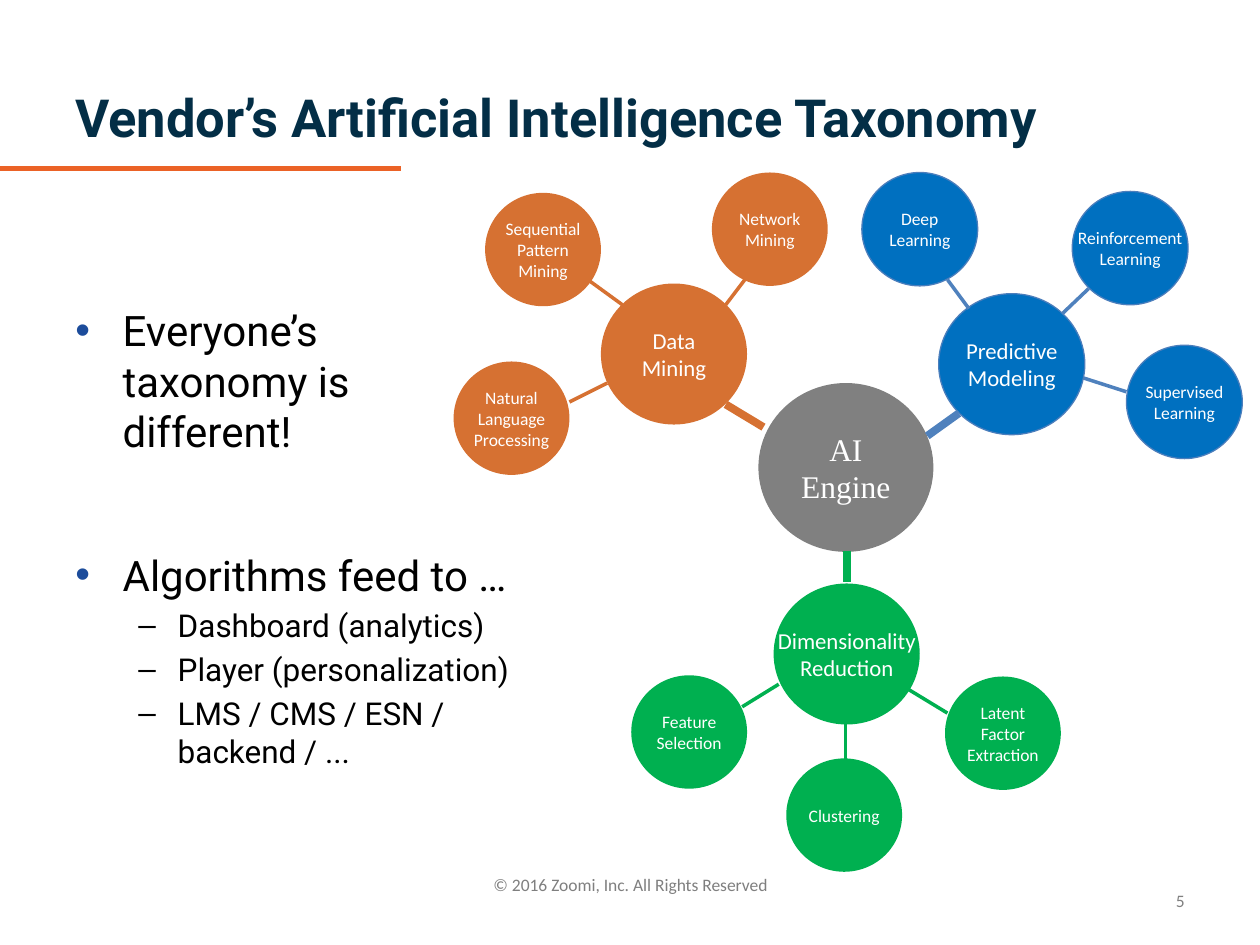
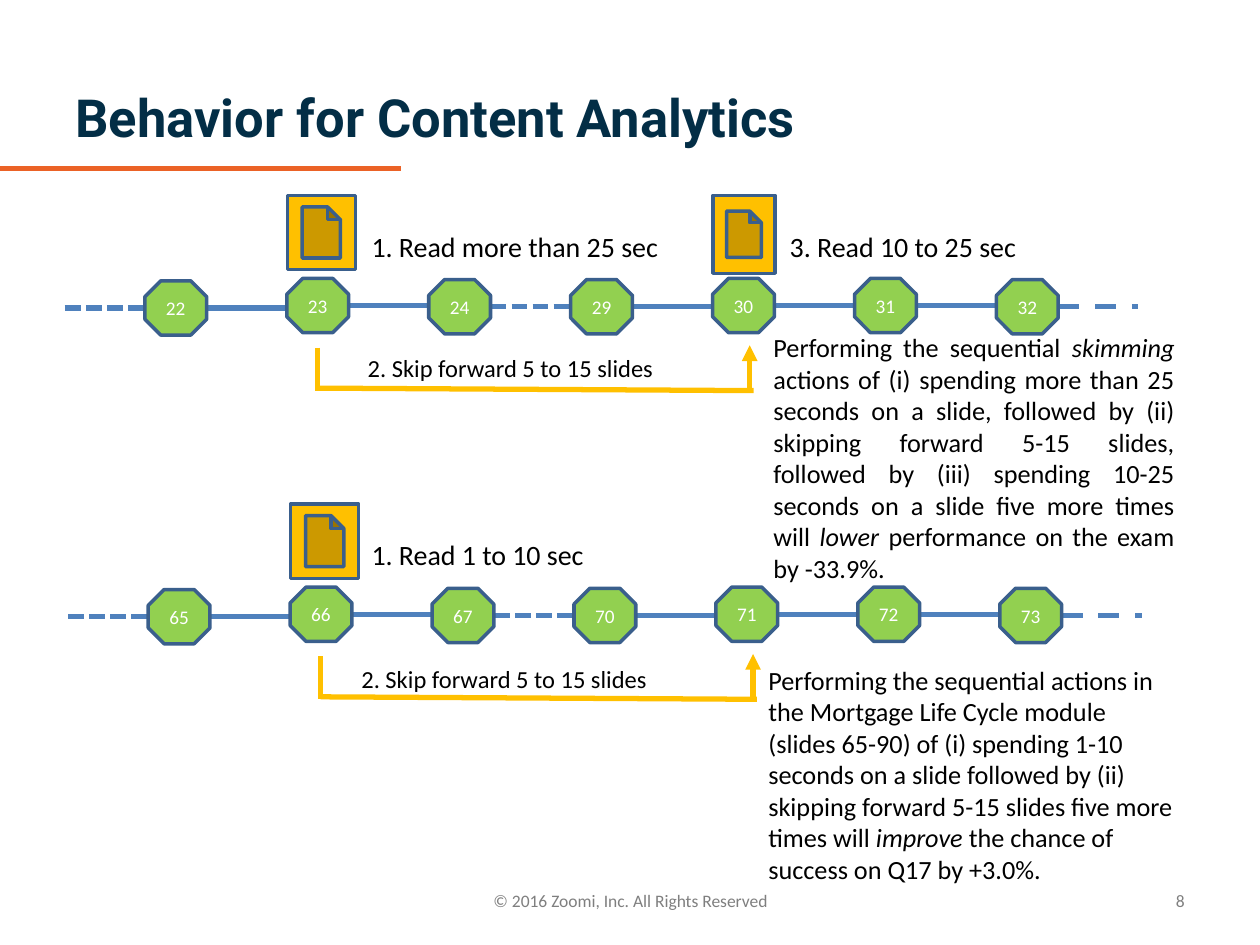
from pptx import Presentation
from pptx.dml.color import RGBColor
from pptx.enum.dml import MSO_LINE
from pptx.enum.shapes import MSO_CONNECTOR, MSO_SHAPE
from pptx.enum.text import MSO_ANCHOR, PP_ALIGN
from pptx.oxml.ns import qn
from pptx.util import Pt
from lxml import etree

STRAIGHT = MSO_CONNECTOR.STRAIGHT
ELLIPSE, OCTAGON = MSO_SHAPE.OVAL, MSO_SHAPE.OCTAGON
DOCUMENT = MSO_SHAPE.ACTION_BUTTON_DOCUMENT
DASH, SHORT_DASH = MSO_LINE.DASH, MSO_LINE.SQUARE_DOT
TOP, MIDDLE = MSO_ANCHOR.TOP, MSO_ANCHOR.MIDDLE
LEFT, CENTER, RIGHT, JUSTIFY = (PP_ALIGN.LEFT, PP_ALIGN.CENTER,
                                PP_ALIGN.RIGHT, PP_ALIGN.JUSTIFY)

COLORS = {
    "accent": "EB6226", "title": "032E46", "bullet": "1C4C9B",
    "footer": "7F7F7F", "number": "808080", "black": "000000", "white": "FFFFFF",
    "engine": "808080", "mining": "D67132", "modeling": "0070C0",
    "modeling_edge": "4B7EBC", "reduction": "00B050", "link": "4F81BD",
    "step": "92D050", "outline": "3A5F8C", "skip": "FFC000",
}
HEADING_FONT, BODY_FONT, ENGINE_FONT = "Roboto", "Calibri", "Times New Roman"


def rgb(name):
    return RGBColor.from_string(COLORS[name])


class Deck:
    """Shared style and the slide being built."""

    def __init__(self):
        self.prs = Presentation()
        self.prs.slide_width, self.prs.slide_height = Pt(720), Pt(540)
        self.slide = None

    def new_slide(self, title, number, footer_top):
        self.slide = self.prs.slides.add_slide(self.prs.slide_layouts[6])
        self.line((0, 96.5), (229, 96.5), "accent", 3)
        self.text((36, 21.6, 648, 90), title, 30, "title", HEADING_FONT,
                  anchor=MIDDLE, bold=True)
        self.text((246.2, footer_top, 228.2, 28.8),
                  "© 2016 Zoomi, Inc. All Rights Reserved", 10, "footer",
                  align=CENTER, anchor=MIDDLE)
        self.text((442, 500.4, 242, 28.8), number, 10, "number",
                  align=RIGHT, anchor=MIDDLE)

    def style(self, paragraph, size, color, font, bold=None):
        paragraph.font.size = Pt(size)
        paragraph.font.name = font
        paragraph.font.bold = bold
        paragraph.font.color.rgb = rgb(color)

    def frame(self, box, anchor=TOP):
        frame = self.slide.shapes.add_textbox(*map(Pt, box)).text_frame
        frame.word_wrap = True
        frame.vertical_anchor = anchor
        return frame

    def text(self, box, words, size, color="black", font=BODY_FONT,
             align=LEFT, anchor=TOP, bold=None):
        """One paragraph; words between asterisks are italic."""
        paragraph = self.frame(box, anchor).paragraphs[0]
        paragraph.alignment = align
        for i, part in enumerate(words.split("*")):
            run = paragraph.add_run()
            run.text = part
            if i % 2:
                run.font.italic = True
        self.style(paragraph, size, color, font, bold)

    def bullets(self, box, items):
        """Items are (level, words)."""
        frame = self.frame(box)
        for i, (level, words) in enumerate(items):
            paragraph = frame.paragraphs[0] if i == 0 else frame.add_paragraph()
            paragraph.text = words
            paragraph.level = level
            size, margin, hang, mark, color = (
                (18, 58.5, 22.5, "–", "black") if level
                else (24, 27, 27, "•", "bullet"))
            props = paragraph._p.get_or_add_pPr()
            props.set("marL", str(Pt(margin)))
            props.set("indent", str(-Pt(hang)))
            tint = etree.SubElement(props, qn("a:buClr"))
            etree.SubElement(tint, qn("a:srgbClr"), val=COLORS[color])
            etree.SubElement(props, qn("a:buFont"), typeface="Arial")
            etree.SubElement(props, qn("a:buChar"), char=mark)
            if i:
                paragraph.space_before = Pt(size * 0.2)
            self.style(paragraph, size, "black", HEADING_FONT)

    def shape(self, kind, box, fill, outline=None, weight=0.75, label="",
              size=10, font=BODY_FONT):
        shape = self.slide.shapes.add_shape(kind, *map(Pt, box))
        shape.shadow.inherit = False
        shape.fill.solid()
        shape.fill.fore_color.rgb = rgb(fill)
        if outline:
            shape.line.color.rgb = rgb(outline)
            shape.line.width = Pt(weight)
        else:
            shape.line.fill.background()
        if not label:
            return
        frame = shape.text_frame
        frame.margin_left = frame.margin_right = 0
        frame.margin_top = frame.margin_bottom = 0
        frame.word_wrap = False
        frame.vertical_anchor = MIDDLE
        frame.text = label
        for paragraph in frame.paragraphs:
            paragraph.alignment = CENTER
            self.style(paragraph, size, "white", font)

    def line(self, start, end, color, weight, dash=None, arrow=False):
        line = self.slide.shapes.add_connector(STRAIGHT, *map(Pt, (*start, *end)))
        line.line.color.rgb = rgb(color)
        line.line.width = Pt(weight)
        if dash:
            line.line.dash_style = dash
        props = line._element.spPr
        if arrow:
            etree.SubElement(props.find(qn("a:ln")), qn("a:tailEnd"), type="triangle")
        etree.SubElement(props, qn("a:effectLst"))


# Taxonomy: each branch has a hub and leaves as (label, corner, edge start, edge end)
HUB, LEAF = (83.5, 80.6), (66.2, 64.8)
BRANCHES = [
    {"hub": ("Predictive\nModeling", (536.4, 167.8), (547.9, 236.2), (529.9, 249.1)),
     "fill": "modeling", "outline": "modeling_edge", "edge": "link",
     "leaves": [
         ("Deep\nLearning", (492.5, 98.6), (541.4, 159.8), (553.7, 176.4)),
         ("Reinforcement\nLearning", (612.7, 109.4), (607, 179.3), (622.1, 164.9)),
         ("Supervised\nLearning", (643.7, 197.3), (619.2, 216), (643.7, 223.9))]},
    {"hub": ("Dimensionality\nReduction", (442.1, 333.4), (483.8, 314.6), (483.8, 332.6)),
     "fill": "reduction", "outline": None, "edge": "reduction",
     "leaves": [
         ("Clustering", (449.3, 433.4), (483.1, 411.1), (483.1, 434.9)),
         ("Latent\nFactor\nExtraction", (540, 386.6), (541.4, 407.5), (517.7, 393.1)),
         ("Feature\nSelection", (360.7, 385.9), (445, 391), (424.1, 403.9))]},
    {"hub": ("Data\nMining", (343.4, 162), (436.3, 244.1), (414.7, 231.1)),
     "fill": "mining", "outline": None, "edge": "mining",
     "leaves": [
         ("Sequential\nPattern\nMining", (277.2, 110.2), (355.7, 174.2), (337, 160.6)),
         ("Natural\nLanguage\nProcessing", (259.2, 206.6), (347, 218.9), (325.4, 229.7)),
         ("Network\nMining", (406.8, 98.6), (414.7, 174.2), (426.2, 159.1))]},
]

# Behavior chains: geometry of the first one, shared by both
STEP_WIDTH, STEP_HEIGHT, PITCH = 35.3, 31, 81.1
CHAIN_LEFT, CHAIN_TOP = 82.8, 159.1
STEP_DROPS = [1.4, 0, 0.7, 0.7, 0, 0, 0.7]
LINK_DASHES = {-1: SHORT_DASH, 2: SHORT_DASH, 6: DASH}


def build_taxonomy(deck):
    deck.new_slide("Vendor’s Artificial Intelligence Taxonomy", "5", 491)
    deck.bullets((36, 170.6, 223.2, 111.6), [(0, "Everyone’s taxonomy is different!")])
    deck.bullets((36, 310.3, 290.2, 151.2), [
        (0, "Algorithms feed to …"), (1, "Dashboard (analytics)"),
        (1, "Player (personalization)"), (1, "LMS / CMS / ESN / backend / ...")])

    deck.shape(ELLIPSE, (433.4, 218.9, 100, 96.5), "engine",
               label="AI\nEngine", size=18, font=ENGINE_FONT)
    for branch in BRANCHES:
        nodes = [(branch["hub"], HUB, 13, 4.5)]
        nodes += [(leaf, LEAF, 10, 2) for leaf in branch["leaves"]]
        for (label, corner, start, end), extent, size, weight in nodes:
            deck.shape(ELLIPSE, corner + extent, branch["fill"], branch["outline"],
                       label=label, size=size)
            deck.line(start, end, branch["edge"], weight)


def build_chain(deck, dx, dy, steps):
    """Numbered slides with links, the first read icon and the skip arrow."""
    for i in range(-1, len(steps)):
        left = CHAIN_LEFT + dx + i * PITCH
        top = CHAIN_TOP + dy + STEP_DROPS[max(i, 0)]
        middle = top + STEP_HEIGHT / 2
        deck.line((left + STEP_WIDTH, middle), (left + PITCH, middle), "link", 3,
                  LINK_DASHES.get(i))
        if i >= 0:
            deck.shape(OCTAGON, (left, top, STEP_WIDTH, STEP_HEIGHT), "step",
                       "outline", 2, str(steps[i]), 11)
    build_icon(deck, (164.2 + dx, 111.6 + dy, 38.9, 42.5))
    skip_from, skip_to = 181.4 + dx, 428.4 + dx
    deck.line((skip_from, 198.7 + dy), (skip_from, 223.2 + dy), "skip", 3)
    deck.line((skip_to + 2.2, 223.2 + dy), (skip_from, 221.8 + dy), "skip", 3)
    deck.line((skip_to, 223.2 + dy), (skip_to, 197.3 + dy), "skip", 3, arrow=True)


def build_icon(deck, box):
    deck.shape(DOCUMENT, box, "skip", "outline", 2)


def build_behavior(deck):
    deck.new_slide("Behavior for Content Analytics", "8", 500.4)
    build_chain(deck, 0, 0, [22, 23, 24, 29, 30, 31, 32])
    build_chain(deck, 1.9, 176.4, [65, 66, 67, 70, 71, 72, 73])
    build_icon(deck, (407.5, 111.6, 35.3, 44.6))

    # Actions
    for left, top, action in [(205.2, 127.4, "1. Read more than 25 sec"),
                              (444.2, 127.4, "3. Read 10 to 25 sec"),
                              (205.2, 303.8, "1. Read 1 to 10 sec")]:
        deck.text((left, top, 183.6, 26.6), action, 16)
    for left, top in [(203, 198), (199.4, 375.8)]:
        deck.text((left, top, 251.3, 24.5), "2. Skip forward 5 to 15 slides", 14)

    # Findings
    deck.text((434.9, 185.8, 243.4, 152.6),
              "Performing the sequential *skimming* actions of (i) spending more than "
              "25 seconds on a slide, followed by (ii) skipping forward 5-15 slides, "
              "followed by (iii) spending 10-25 seconds on a slide five more times "
              "will *lower* performance on the exam by -33.9%.", 15, align=JUSTIFY)
    deck.text((432, 375.8, 249.1, 152.6),
              "Performing the sequential actions in the Mortgage Life Cycle module "
              "(slides 65-90) of (i) spending 1-10 seconds on a slide followed by (ii) "
              "skipping forward 5-15 slides five more times will *improve* the chance "
              "of success on Q17 by +3.0%.", 15)


def main():
    deck = Deck()
    build_taxonomy(deck)
    build_behavior(deck)
    deck.prs.save("out.pptx")


if __name__ == "__main__":
    main()
